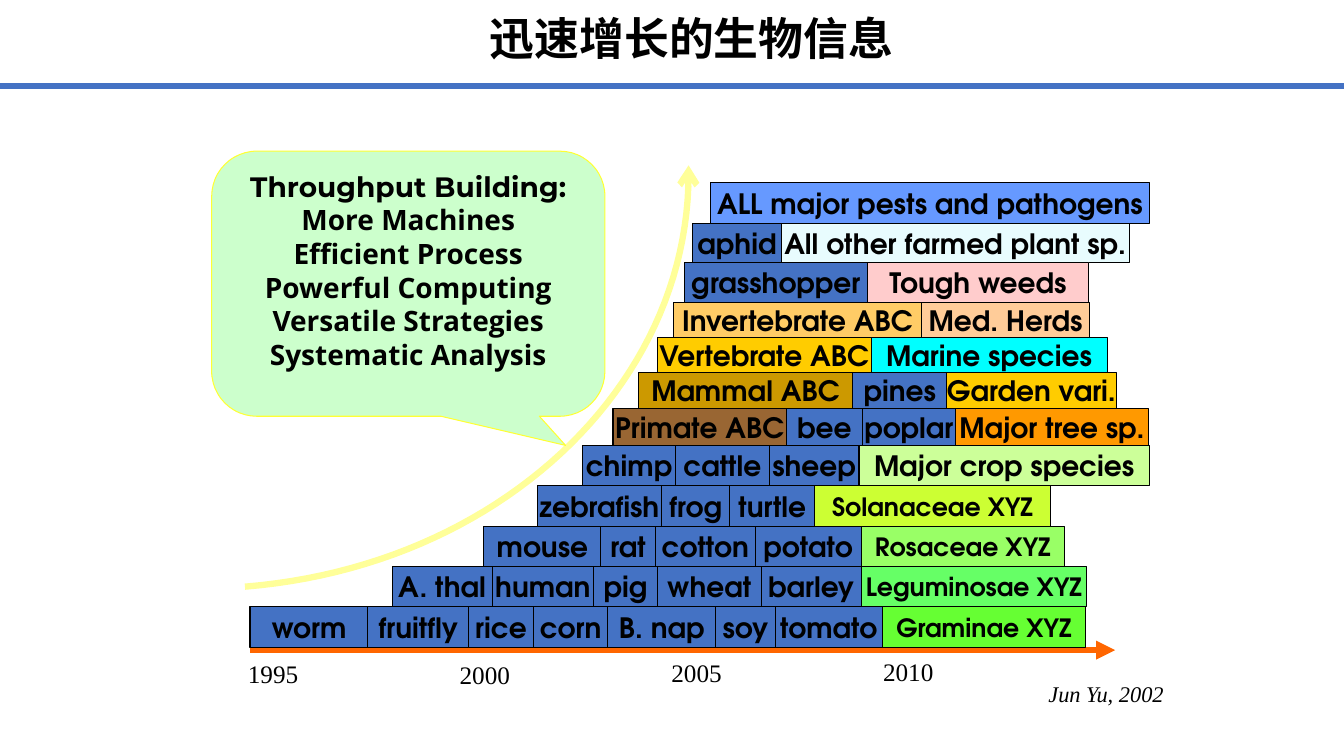
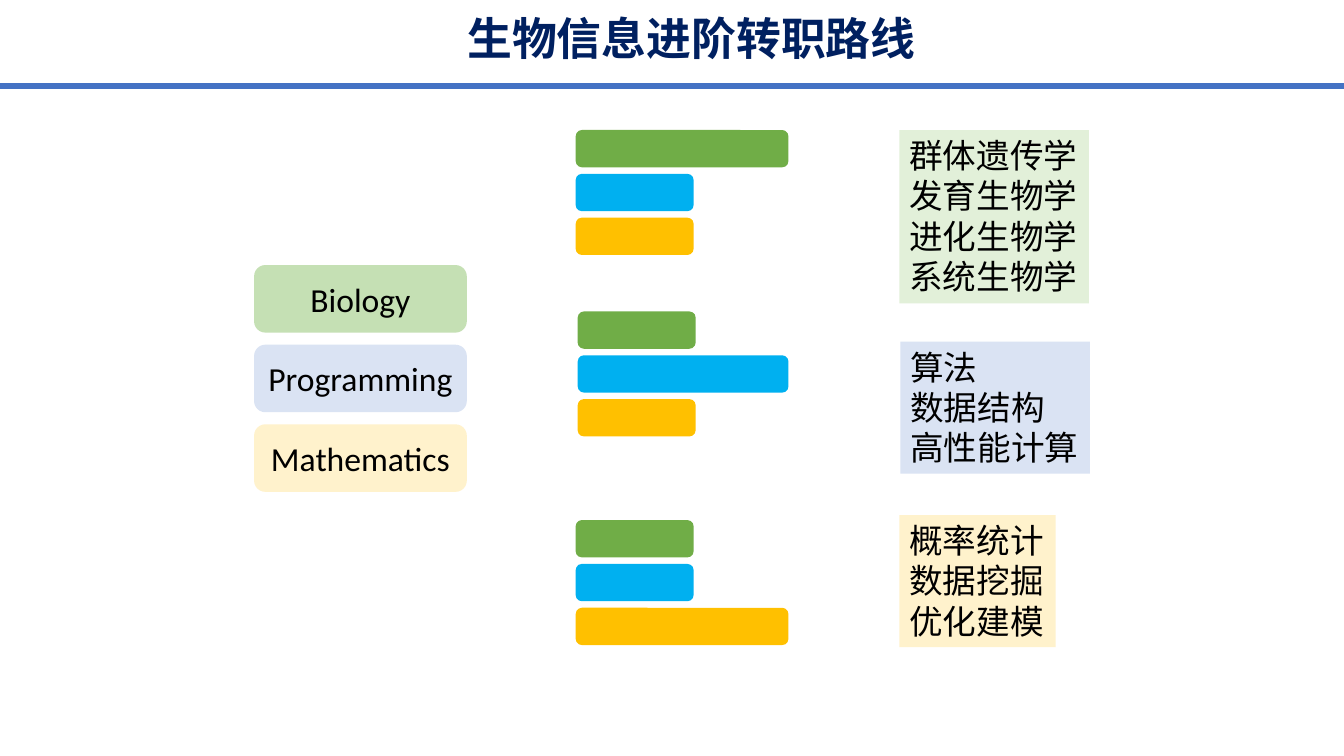
from itertools import pairwise

from lxml import etree
from pptx import Presentation
from pptx.dml.color import RGBColor
from pptx.enum.shapes import MSO_CONNECTOR, MSO_SHAPE
from pptx.enum.text import MSO_ANCHOR, PP_ALIGN
from pptx.oxml.ns import qn
from pptx.util import Inches, Pt

RECT, ROUND = MSO_SHAPE.RECTANGLE, MSO_SHAPE.ROUNDED_RECTANGLE
BUBBLE = MSO_SHAPE.ROUNDED_RECTANGULAR_CALLOUT
LINE = MSO_CONNECTOR.STRAIGHT
TOP, MIDDLE = MSO_ANCHOR.TOP, MSO_ANCHOR.MIDDLE
LEFT, CENTER = PP_ALIGN.LEFT, PP_ALIGN.CENTER

BODY, LABEL, SERIF = "Calibri", "TeX Gyre Adventor", "Times New Roman"
HEAD, LIST = "Montserrat", "Open Sans"

COLORS = {
    "black": "000000", "navy": "002060", "blue": "4472C4",
    "axis": "FF6600", "curve": "FFFF99", "bubble": "CCFFCC", "edge": "FFFF33",
    "pests": "6699FF", "farmed": "E8FCFE", "weeds": "FFCCCC",
    "sand": "FFCC66", "peach": "FFCC99", "gold": "FFCC00", "cyan": "00FFFF",
    "ochre": "CC9900", "brown": "996633", "orange": "FF9900",
    "crop": "CCFF99", "lime": "CCFF33", "rose": "99FF66",
    "legume": "66FF66", "grass": "66FF33",
    "green": "70AD47", "sky": "00B0F0", "amber": "FFC000",
    "leaf": "C5E0B4", "mint": "E2F0D9", "ice": "DAE3F3", "cream": "FFF2CC",
}

# Each tier: left edges and final right edge, then (label, fill) for each cell.
TIERS = [
    ([7.05, 11.4], [("ALL major pests and pathogens", "pests")]),
    ([6.87, 7.75, 11.2],
     [("aphid", "blue"), ("All other farmed plant sp.", "farmed")]),
    ([6.79, 8.6, 10.8], [("grasshopper", "blue"), ("Tough weeds", "weeds")]),
    ([6.68, 9.14, 10.81],
     [("Invertebrate ABC", "sand"), ("Med. Herds", "peach")]),
    ([6.52, 8.64, 10.98],
     [("Vertebrate ABC", "gold"), ("Marine species", "cyan")]),
    ([6.33, 8.46, 9.39, 11.07],
     [("Mammal ABC", "ochre"), ("pines", "blue"), ("Garden vari.", "gold")]),
    ([6.08, 7.8, 8.55, 9.48, 11.39],
     [("Primate ABC", "brown"), ("bee", "blue"), ("poplar", "blue"),
      ("Major tree sp.", "orange")]),
    ([5.78, 6.7, 7.63, 8.52, 11.4],
     [("chimp", "blue"), ("cattle", "blue"), ("sheep", "blue"),
      ("Major crop species", "crop")]),
    ([5.33, 6.56, 7.24, 8.08, 10.42],
     [("zebrafish", "blue"), ("frog", "blue"), ("turtle", "blue"),
      ("Solanaceae XYZ", "lime")]),
    ([4.8, 5.96, 6.5, 7.49, 8.54, 10.56],
     [("mouse", "blue"), ("rat", "blue"), ("cotton", "blue"),
      ("potato", "blue"), ("Rosaceae XYZ", "rose")]),
    ([3.89, 4.88, 5.89, 6.52, 7.55, 8.54, 10.78],
     [("A. thal", "blue"), ("human", "blue"), ("pig", "blue"),
      ("wheat", "blue"), ("barley", "blue"), ("Leguminosae XYZ", "legume")]),
    ([2.48, 3.65, 4.65, 5.29, 6.03, 7.1, 7.69, 8.75, 10.77],
     [("worm", "blue"), ("fruitfly", "blue"), ("rice", "blue"),
      ("corn", "blue"), ("B. nap", "blue"), ("soy", "blue"),
      ("tomato", "blue"), ("Graminae XYZ", "grass")]),
]
LEVELS = [1.81, 2.22, 2.6, 3, 3.35, 3.7, 4.05, 4.42, 4.82, 5.22, 5.62, 6.02, 6.42]


def tint(name):
    return RGBColor.from_string(COLORS[name])


class Deck:
    def __init__(self):
        self.prs = Presentation()
        self.prs.slide_width, self.prs.slide_height = Inches(13.33), Inches(7.5)
        self.slide = None

    def start(self, title, color="black"):
        """Add a slide with the shared title and rule."""
        self.slide = self.prs.slides.add_slide(self.prs.slide_layouts[5])
        head = self.slide.shapes.title
        head.left, head.top = Inches(1.86), Inches(0.06)
        head.width, head.height = Inches(10), Inches(0.64)
        self.fill_text(head, title, 32, color=color, bold=True, align=CENTER, wrap=True)
        self.rule(0, 13.33, 0.85, "blue")

    def fill_text(self, shape, text, size, font=BODY, color="black", bold=False,
                  italic=False, align=LEFT, anchor=TOP, wrap=False):
        frame = shape.text_frame
        frame.text = text
        frame.word_wrap, frame.vertical_anchor = wrap, anchor
        for para in frame.paragraphs:
            para.alignment = align
            for run in para.runs:
                run.font.name, run.font.size = font, Pt(size)
                run.font.bold, run.font.italic = bold, italic
                run.font.color.rgb = tint(color)

    def shape(self, kind, x, y, w, h, fill, line=None):
        item = self.slide.shapes.add_shape(
            kind, Inches(x), Inches(y), Inches(w), Inches(h))
        item.shadow.inherit = False
        item.fill.solid()
        item.fill.fore_color.rgb = tint(fill)
        if line:
            item.line.color.rgb, item.line.width = tint(line), Pt(0.75)
        else:
            item.line.fill.background()
        return item

    def label(self, x, y, w, h, text, size, **style):
        box = self.slide.shapes.add_textbox(
            Inches(x), Inches(y), Inches(w), Inches(h))
        self.fill_text(box, text, size, **style)

    def stroke(self, item, color, tip=None):
        item.line.color.rgb, item.line.width = tint(color), Pt(4.5)
        if tip:
            line = item.element.spPr.find(qn("a:ln"))
            etree.SubElement(line, qn("a:tailEnd"), type=tip)

    def rule(self, left, right, y, color, tip=None):
        line = self.slide.shapes.add_connector(
            LINE, Inches(left), Inches(y), Inches(right), Inches(y))
        self.stroke(line, color, tip)
        etree.SubElement(line.element.spPr, qn("a:effectLst"))

    def curve(self, knots, end, color, steps=48):
        """Trace a cubic through its four control points, then go to end."""
        spots = []
        for i in range(steps + 1):
            t = i / steps
            parts = ((1 - t) ** 3, 3 * t * (1 - t) ** 2, 3 * t * t * (1 - t), t ** 3)
            spots.append(tuple(
                Inches(sum(p * k[axis] for p, k in zip(parts, knots)))
                for axis in (0, 1)))
        spots.append((Inches(end[0]), Inches(end[1])))
        trace = self.slide.shapes.build_freeform(*spots[0])
        trace.add_line_segments(spots[1:], close=False)
        item = trace.convert_to_shape()
        item.shadow.inherit = False
        item.fill.background()
        self.stroke(item, color, "arrow")


def growth(deck):
    deck.start("迅速增长的生物信息")
    deck.rule(2.48, 11.06, 6.45, "axis", "triangle")
    deck.curve([(2.43, 5.82), (4.93, 5.62), (6.83, 3.85), (6.83, 1.72)],
               (6.83, 1.64), "curve")

    bubble = deck.shape(BUBBLE, 2.1, 1.5, 3.9, 2.63, "bubble", "edge")
    for i, value in enumerate((0.4, 0.61, 0.17)):
        bubble.adjustments[i] = value
    deck.fill_text(bubble, "Throughput Building:\nMore Machines\nEfficient Process\n"
                   "Powerful Computing\nVersatile Strategies\nSystematic Analysis",
                   20, LIST, bold=True, align=CENTER, wrap=True)
    bubble.text_frame.paragraphs[0].runs[0].font.name = HEAD

    for (top, base), (edges, cells) in zip(pairwise(LEVELS), TIERS):
        for (left, right), (name, fill) in zip(pairwise(edges), cells):
            cell = deck.shape(RECT, left, top, right - left, base - top, fill, "black")
            deck.fill_text(cell, name, 18 if name.endswith("XYZ") else 20, LABEL,
                           bold=True, align=CENTER, anchor=MIDDLE)

    for i, top in enumerate((6.48, 6.49, 6.47, 6.46)):
        deck.label(2.36 + 2.1 * i, top, 0.71, 0.4, str(1995 + 5 * i), 18, font=SERIF)
    deck.label(10.3, 6.7, 1.37, 0.37, "Jun Yu, 2002", 16, font=SERIF, italic=True)


def routes(deck):
    deck.start("生物信息进阶转职路线", "navy")
    fields = [("Biology", "leaf"), ("Programming", "ice"), ("Mathematics", "cream")]
    for i, (name, fill) in enumerate(fields):
        field = deck.shape(ROUND, 2.52, 2.63 + 0.79 * i, 2.11, 0.67, fill)
        deck.fill_text(field, name, 24, align=CENTER, anchor=MIDDLE, wrap=True)

    for main_bar, (left, top) in enumerate([(5.71, 1.29), (5.73, 3.09), (5.71, 5.16)]):
        for i, fill in enumerate(("green", "sky", "amber")):
            width = 7.82 - left if i == main_bar else 1.17
            deck.shape(ROUND, left, top + 0.87 * i / 2, width, 0.37, fill)

    topics = [
        (8.92, 1.29, 1.88, 1.72, "mint", "群体遗传学\n发育生物学\n进化生物学\n系统生物学"),
        (8.93, 3.39, 1.88, 1.31, "ice", "算法\n数据结构\n高性能计算"),
        (8.92, 5.11, 1.55, 1.31, "cream", "概率统计\n数据挖掘\n优化建模"),
    ]
    for *place, fill, text in topics:
        deck.fill_text(deck.shape(RECT, *place, fill), text, 24)


def main():
    deck = Deck()
    growth(deck)
    routes(deck)
    deck.prs.save("out.pptx")


if __name__ == "__main__":
    main()
